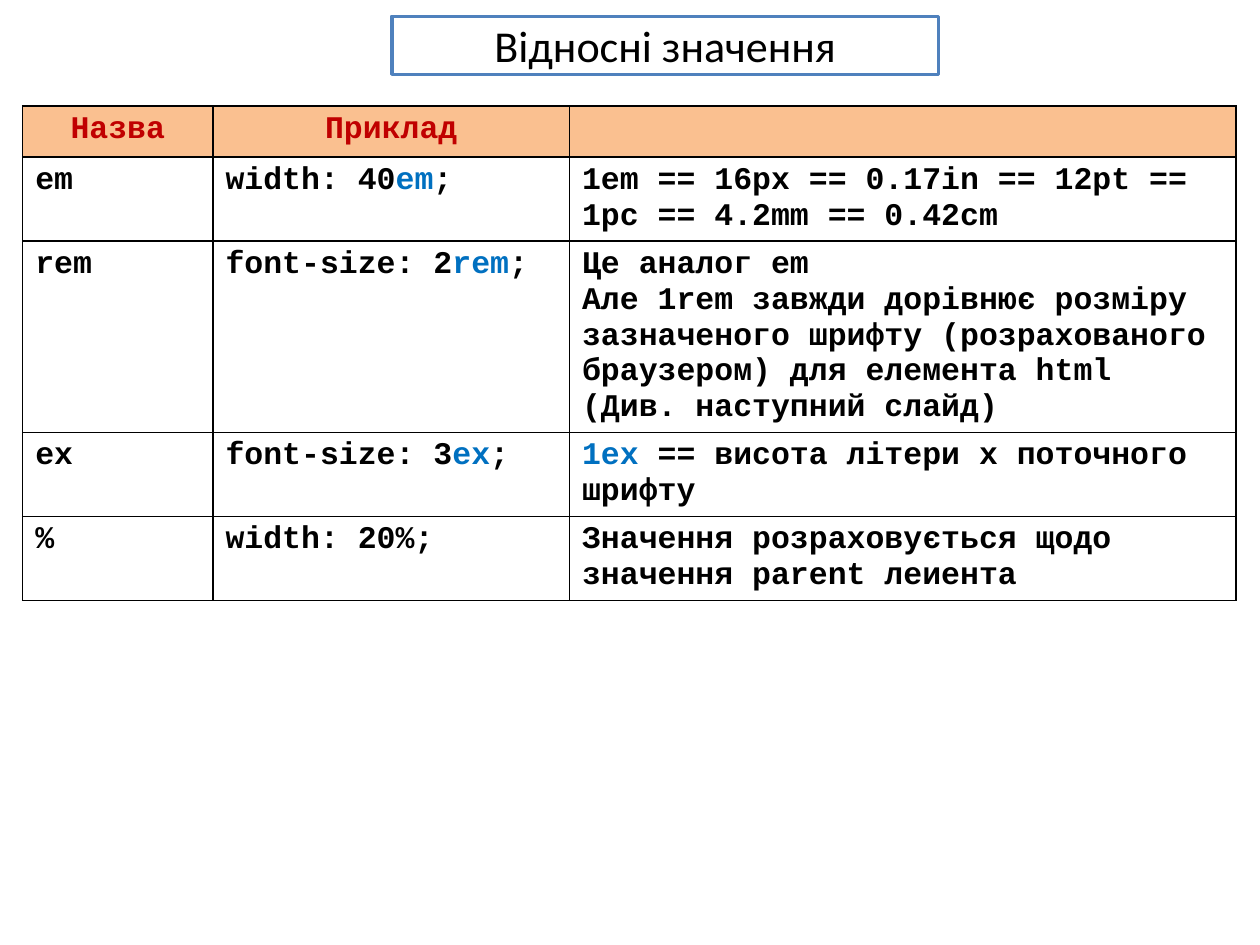
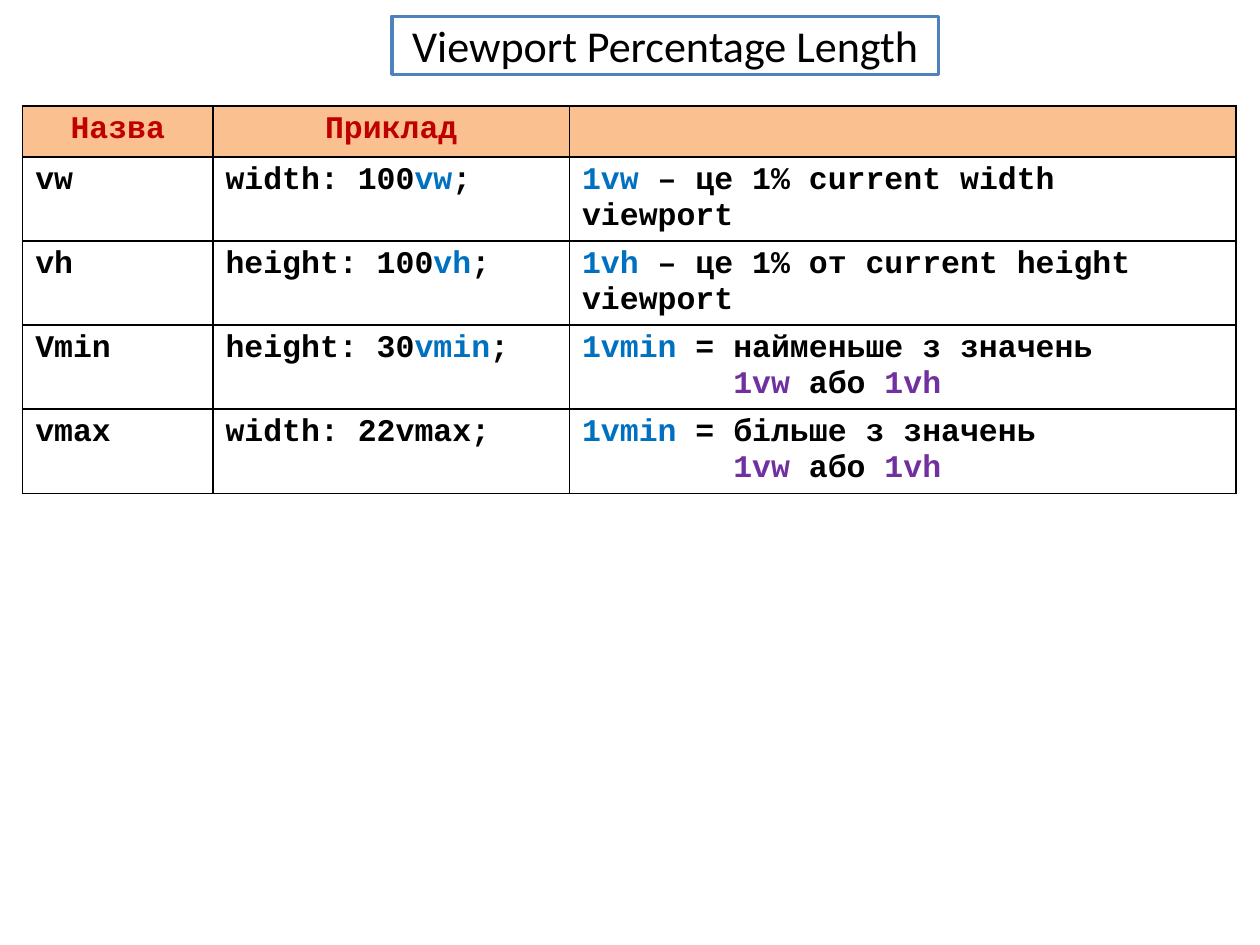
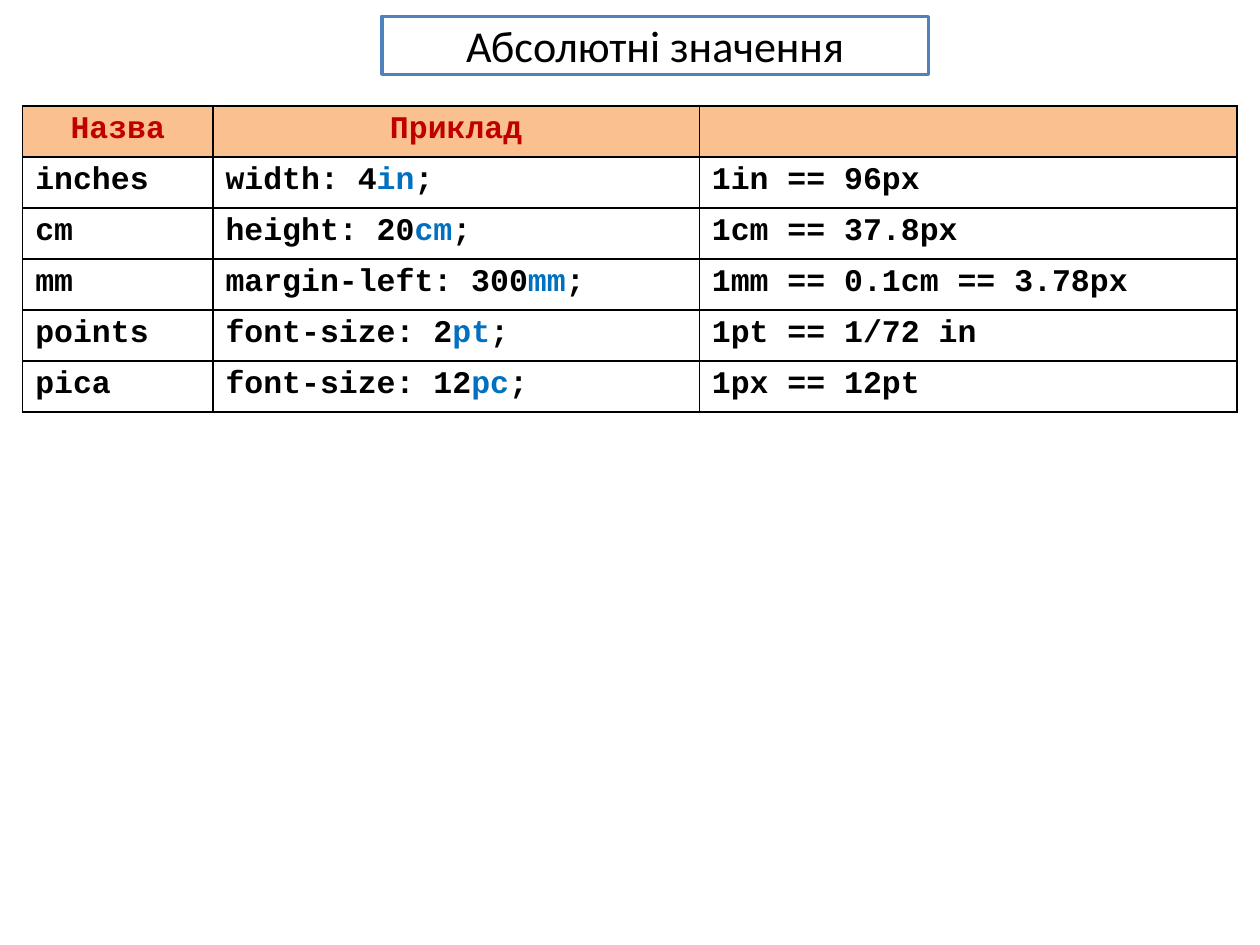
from lxml.etree import SubElement
from pptx import Presentation
from pptx.dml.color import RGBColor
from pptx.enum.text import MSO_ANCHOR, MSO_AUTO_SIZE, PP_ALIGN
from pptx.oxml.ns import qn
from pptx.util import Inches, Pt

W, H = Inches(10), Inches(7.5)
BLACK, WHITE, RED = "000000", "FFFFFF", "C00000"
BLUE, PURPLE, FRAME, PEACH = "0070C0", "7030A0", "4F81BD", "FAC090"
TITLE_FONT, CODE_FONT = "Calibri", "Courier New"
TITLE_ONLY = 5
CODE_SIZE = 18
CHAR_WIDTH = Pt(0.6 * CODE_SIZE)

# Boxes are left, top, width, height in percent of the slide
TITLE_BOX = (31.1, 1.73, 43.4, 6.13)
ABSOLUTE_TITLE_BOX = (30.3, 1.73, 43.4, 6.13)
TABLE_LEFT, TABLE_TOP, ROW_HEIGHT = 1.8, 11.2, 5.4
WIDE_NOTES = (15.1, 28.3, 52.9)
WIDE_EXAMPLES = (15.1, 38.6, 42.7)


def across(percent):
    return round(W * percent / 100)


def down(percent):
    return round(H * percent / 100)


def rgb(value):
    return RGBColor.from_string(value)


def add_run(p, text, color, font, size, bold=False):
    r = p.add_run()
    r.text = text
    r.font.name, r.font.size, r.font.bold = font, Pt(size), bold
    r.font.color.rgb = rgb(color)


def blue(text):
    return text, BLUE


def example(declaration, unit):
    return [[declaration, blue(unit), ";"]]


def either_of(comparison):
    """Two lines: the comparison, then its operands indented below."""
    return [[blue("1vmin"), comparison],
            [("1vw ", PURPLE), "або ", ("1vh", PURPLE)]]


def add_title(slide, text, box):
    sp = slide.shapes.title
    left, top, width, height = box
    sp.left, sp.top = across(left), down(top)
    sp.width, sp.height = across(width), down(height)
    sp.fill.solid()
    sp.fill.fore_color.rgb = rgb(WHITE)
    sp.line.color.rgb = rgb(FRAME)
    sp.line.width = Pt(2)
    tf = sp.text_frame
    tf.auto_size = MSO_AUTO_SIZE.NONE
    tf.vertical_anchor = MSO_ANCHOR.MIDDLE
    p = tf.paragraphs[0]
    p.alignment = PP_ALIGN.CENTER
    add_run(p, text, BLACK, TITLE_FONT, 25.2)


def add_borders(cell):
    tcPr = cell._tc.get_or_add_tcPr()
    for side in ("lnL", "lnR", "lnT", "lnB"):
        ln = SubElement(tcPr, qn(f"a:{side}"), w=str(Pt(1)))
        fill = SubElement(ln, qn("a:solidFill"))
        SubElement(fill, qn("a:srgbClr"), val=BLACK)


def fill_cell(cell, content, is_header):
    """Content is a string, or a list of paragraphs made of runs."""
    add_borders(cell)
    if is_header:
        cell.fill.solid()
        cell.fill.fore_color.rgb = rgb(PEACH)
    else:
        cell.fill.background()
    if not content:
        return
    paragraphs = [[content]] if isinstance(content, str) else content
    tf = cell.text_frame
    for i, runs in enumerate(paragraphs):
        p = tf.add_paragraph() if i else tf.paragraphs[0]
        if is_header:
            p.alignment = PP_ALIGN.CENTER
        if runs[0] == ("1vw ", PURPLE):
            p._p.get_or_add_pPr().set("marL", str(8 * CHAR_WIDTH))
        for run in runs:
            plain = RED if is_header else BLACK
            text, color = (run, plain) if isinstance(run, str) else run
            add_run(p, text, color, CODE_FONT, CODE_SIZE, bold=True)


def add_units_table(slide, columns, units):
    rows = [("Назва", "Приклад", ""), *units]
    frame = slide.shapes.add_table(
        len(rows), len(columns), across(TABLE_LEFT), down(TABLE_TOP),
        across(sum(columns)), down(ROW_HEIGHT * len(rows)))
    table = frame.table
    table.horz_banding = False
    for column, width in zip(table.columns, columns):
        column.width = across(width)
    for i, row in enumerate(rows):
        table.rows[i].height = down(ROW_HEIGHT)
        for j, content in enumerate(row):
            fill_cell(table.cell(i, j), content, is_header=i == 0)


RELATIVE = [
    ("em", example("width: 40", "em"),
     "1em == 16px == 0.17in == 12pt == 1pc == 4.2mm == 0.42cm"),
    ("rem", example("font-size: 2", "rem"),
     [["Це аналог em"],
      ["Але 1rem завжди дорівнює розміру зазначеного шрифту "
       "(розрахованого браузером) для елемента html"],
      ["(Див. наступний слайд)"]]),
    ("ex", example("font-size: 3", "ex"),
     [[blue("1ex "), "== висота літери x поточного шрифту"]]),
    ("%", "width: 20%;",
     "Значення розраховується щодо значення parent леиента"),
]
VIEWPORT = [
    ("vw", example("width: 100", "vw"),
     [[blue("1vw"), " – це 1% current width viewport"]]),
    ("vh", example("height: 100", "vh"),
     [[blue("1vh"), " – це 1% от current height viewport"]]),
    ("Vmin", example("height: 30", "vmin"),
     either_of(" = найменьше з значень")),
    ("vmax", "width: 22vmax;", either_of(" = більше з значень")),
]
ABSOLUTE = [
    ("inches", example("width: 4", "in"), "1in == 96px"),
    ("cm", example("height: 20", "cm"), "1cm == 37.8px"),
    ("mm", example("margin-left: 300", "mm"), "1mm == 0.1cm == 3.78px"),
    ("points", example("font-size: 2", "pt"), "1pt == 1/72 in"),
    ("pica", example("font-size: 12", "pc"), "1px == 12pt"),
]
SLIDES = [
    ("Відносні значення", TITLE_BOX, WIDE_NOTES, RELATIVE),
    ("Viewport Percentage Length", TITLE_BOX, WIDE_NOTES, VIEWPORT),
    ("Абсолютні значення", ABSOLUTE_TITLE_BOX, WIDE_EXAMPLES, ABSOLUTE),
]


def main():
    prs = Presentation()
    prs.slide_width, prs.slide_height = W, H
    for title, title_box, columns, units in SLIDES:
        slide = prs.slides.add_slide(prs.slide_layouts[TITLE_ONLY])
        add_title(slide, title, title_box)
        add_units_table(slide, columns, units)
    prs.save("out.pptx")


if __name__ == "__main__":
    main()
